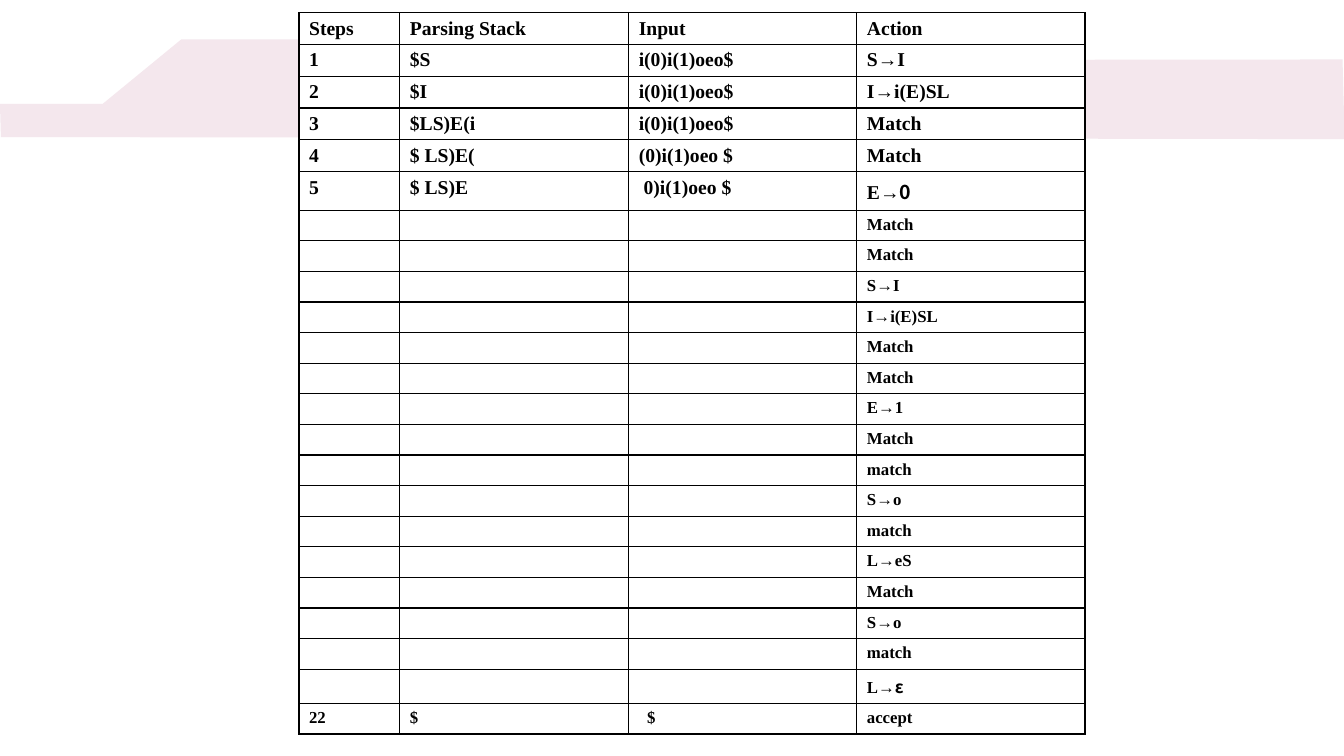
from lxml import etree
from pptx import Presentation
from pptx import util as u
from pptx.dml import color
from pptx.oxml import ns

COLORS = {"band": "F4E7ED", "cell": "FFFFFF", "ink": "000000"}
SERIF, SANS = "Times New Roman", "Noto Sans CJK SC"
CELL_MARGIN = 7.2


def add_border(cell, side):
    line = etree.SubElement(cell._tc.get_or_add_tcPr(), ns.qn(f"a:{side}"), w=str(u.Pt(1)))
    fill = etree.SubElement(line, ns.qn("a:solidFill"))
    etree.SubElement(fill, ns.qn("a:srgbClr"), val=COLORS["ink"])


def add_span(para, words, face, size):
    span = para.add_run()
    span.text = words
    span.font.name = face
    span.font.size = u.Pt(size)
    span.font.bold = True
    span.font.color.rgb = color.RGBColor.from_string(COLORS["ink"])
    etree.SubElement(span.font._element, ns.qn("a:ea"), typeface=face)


deck = Presentation()
deck.slide_width, deck.slide_height = u.Pt(960), u.Pt(540)
page = deck.slides.add_slide(deck.slide_layouts[6])

band_points = [(0, 74.2), (73.4, 74.2), (129.6, 28.1), (360, 28.1),
               (377.3, 43.2), (959, 42.5), (960.5, 99.4), (0.7, 97.9)]
outline = page.shapes.build_freeform(*map(u.Pt, band_points[0]))
outline.add_line_segments([(u.Pt(x), u.Pt(y)) for x, y in band_points[1:]])
band = outline.convert_to_shape()
band.shadow.inherit = False
band.fill.solid()
band.fill.fore_color.rgb = color.RGBColor.from_string(COLORS["band"])
band.line.fill.background()

steps = [
    ("Steps", "Parsing Stack", "Input", "Action"),
    ("1", "$S", "i(0)i(1)oeo$", "S→I"),
    ("2", "$I", "i(0)i(1)oeo$", "I→i(E)SL"),
    ("3", "$LS)E(i", "i(0)i(1)oeo$", "Match"),
    ("4", "$ LS)E(", "(0)i(1)oeo $", "Match"),
    ("5", "$ LS)E", " 0)i(1)oeo $", "E→0"),
]
large_rows = len(steps)
open_actions = ["Match", "Match", "S→I", "I→i(E)SL", "Match", "Match", "E→1", "Match",
                "match", "S→o", "match", "L→eS", "Match", "S→o", "match", "L→ε"]
steps += [("", "", "", action) for action in open_actions]
steps.append(("22", "$", "$", "accept"))

widths = [72, 163.5, 163, 163]
row_height = 21.6
frame = page.shapes.add_table(len(steps), len(widths), u.Pt(213.6), u.Pt(9),
                              u.Pt(sum(widths)), u.Pt(row_height * len(steps)))
table = frame.table
table.first_row = table.horz_banding = False
for column, width in zip(table.columns, widths):
    column.width = u.Pt(width)

for r, row in enumerate(steps):
    table.rows[r].height = u.Pt(row_height)
    size = 14 if r < large_rows else 12
    for c, words in enumerate(row):
        cell = table.cell(r, c)
        cell.margin_left = u.Pt(CELL_MARGIN)
        for side in ("lnL", "lnR", "lnT", "lnB"):
            add_border(cell, side)
        cell.fill.solid()
        cell.fill.fore_color.rgb = color.RGBColor.from_string(COLORS["cell"])
        para = cell.text_frame.paragraphs[0]
        if not words:
            etree.SubElement(para._p, ns.qn("a:endParaRPr"), sz=str(size * 100))
        elif words in ("E→0", "L→ε"):
            add_span(para, words[:-1], SERIF, size)
            add_span(para, words[-1], SANS, size)
        else:
            add_span(para, words, SERIF, size)

table.cell(len(steps) - 1, 2).margin_left = u.Pt(CELL_MARGIN + 6)

deck.save("out.pptx")
